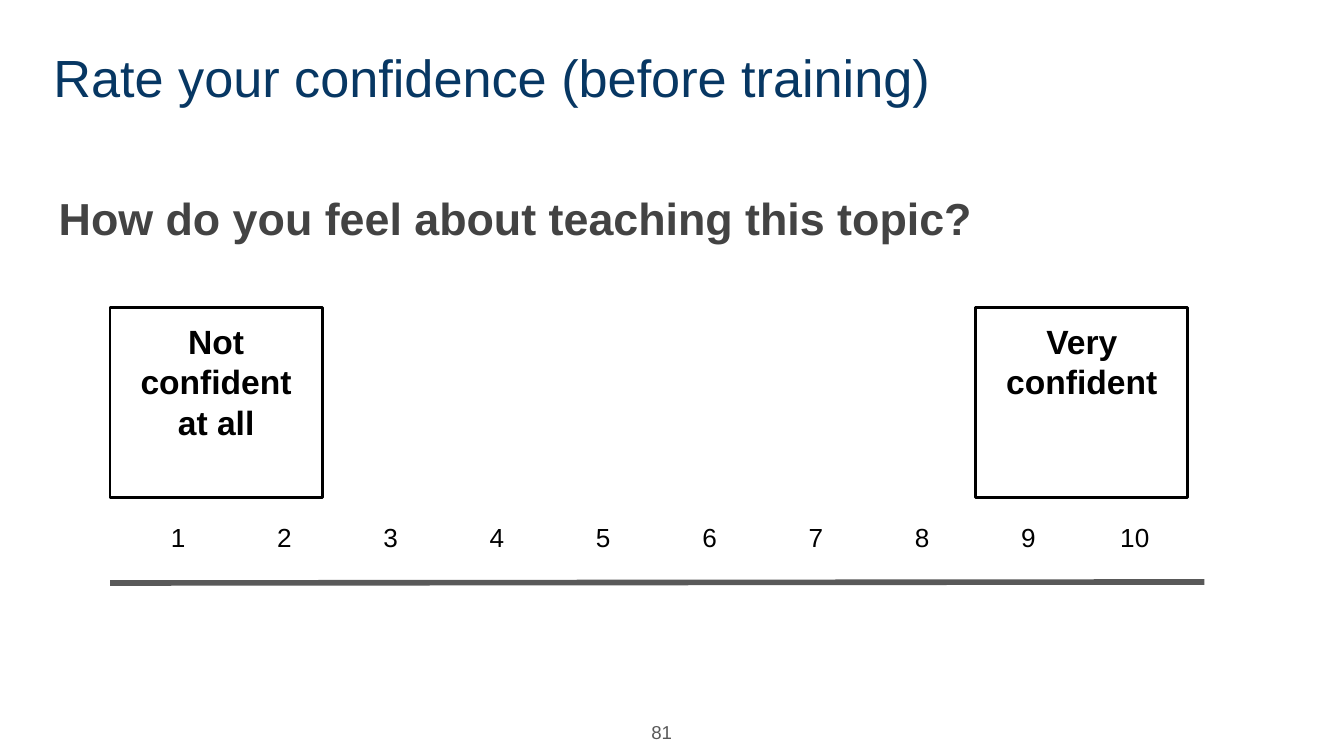
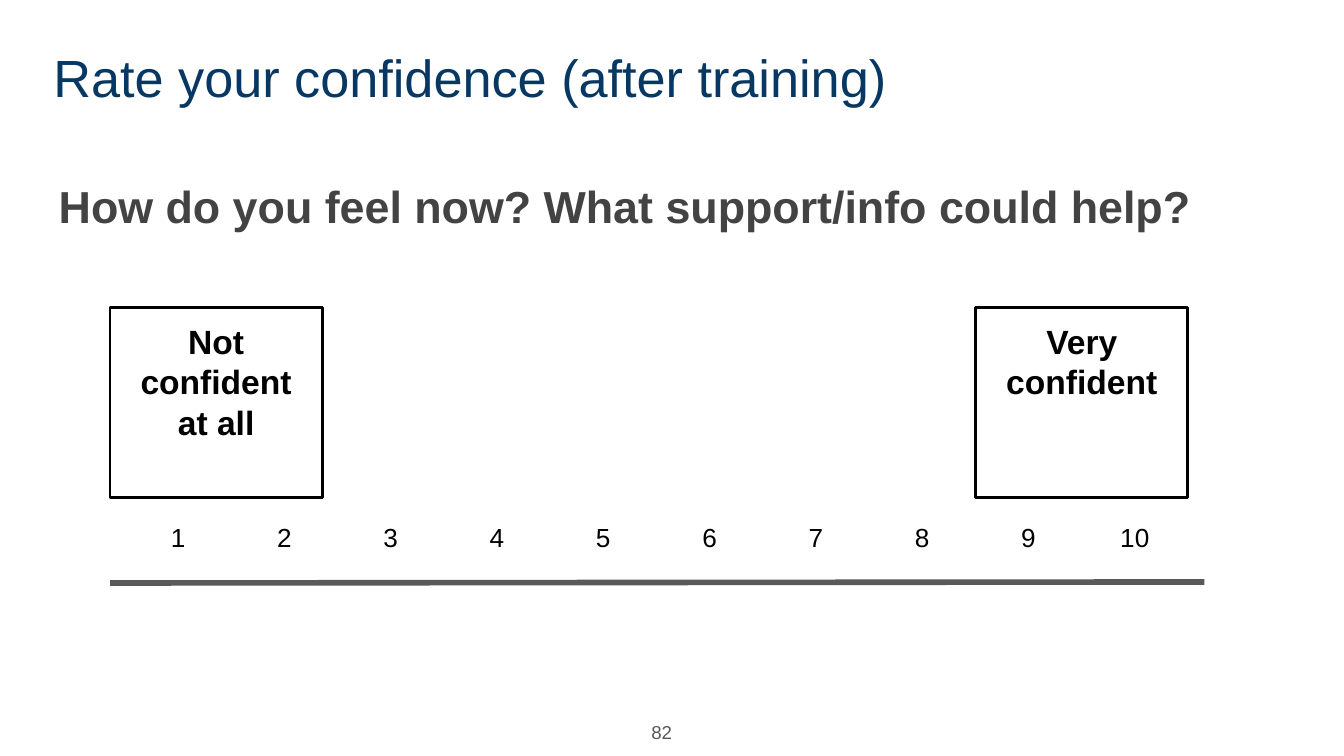
from pptx import Presentation
from pptx.dml.color import RGBColor
from pptx.enum.shapes import MSO_CONNECTOR as Link, MSO_SHAPE as Shape
from pptx.enum.text import MSO_ANCHOR as Anchor, PP_ALIGN as Align
from pptx.oxml.ns import qn
from pptx.util import Cm, Pt
from lxml.etree import SubElement

NAVY = RGBColor(0x07, 0x37, 0x63)
DARK = RGBColor(0x43, 0x43, 0x43)
GREY = RGBColor(0x59, 0x59, 0x59)
BLACK = RGBColor(0, 0, 0)
FONT = "Arial"
INSET = Cm(0.25)
LEFT = 2.08  # left edge of the scale, in cm
ENDS = [(LEFT, "Not confident at all"), (18.44, "Very confident")]
STEPS = 10
SLIDES = [
    ("Rate your confidence (before training)",
     "How do you feel about teaching this topic?", 3.2, 81),
    ("Rate your confidence (after training)",
     "How do you feel now? What support/info could help?", 2.97, 82),
]


def write(frame, text, size, color, bold=False, align=Align.LEFT,
          anchor=Anchor.TOP):
    """Fill a text frame with one paragraph and return it."""
    frame.word_wrap = True
    frame.vertical_anchor = anchor
    frame.margin_left = frame.margin_right = INSET
    frame.margin_top = frame.margin_bottom = INSET
    para = frame.paragraphs[0]
    para.text = text
    para.alignment = align
    font = para.font
    font.name, font.size, font.bold = FONT, Pt(size), bold
    font.color.rgb = color
    return para


def add_title(slide, text):
    title = slide.shapes.title
    title.left, title.top = Cm(0.76), Cm(0.61)
    title.width, title.height = Cm(23.77), Cm(1.6)
    write(title.text_frame, text, 28, NAVY)


def add_query(slide, text, top):
    box = slide.shapes.add_textbox(Cm(0.86), Cm(top), Cm(23.67),
                                   Cm(12.7 - top))
    para = write(box.text_frame, text, 24, DARK, bold=True)
    para.line_spacing = 1.15


def add_end(slide, left, text):
    """Frame the label for one end of the scale."""
    box = slide.shapes.add_shape(Shape.RECTANGLE, Cm(left), Cm(5.82),
                                 Cm(4.01), Cm(3.58))
    box.shadow.inherit = False
    box.fill.background()
    box.line.color.rgb = BLACK
    box.line.width = Pt(1.5)
    write(box.text_frame, text, 18, BLACK, bold=True, align=Align.CENTER)


def add_scale(slide):
    """Number the steps and underline them."""
    table = slide.shapes.add_table(1, STEPS, Cm(2.36), Cm(9.65),
                                   Cm(2.01 * STEPS), Cm(1.07)).table
    table.first_row = table.horz_banding = False
    for step, cell in enumerate(table.iter_cells(), 1):
        cell.fill.background()
        cell.margin_left = cell.margin_right = INSET
        cell.margin_top = cell.margin_bottom = INSET
        para = cell.text_frame.paragraphs[0]
        para.text = str(step)
        para.alignment = Align.CENTER
        para.font.name, para.font.size = FONT, Pt(14)
        para.font.color.rgb = BLACK

    rule = slide.shapes.add_connector(Link.STRAIGHT, Cm(LEFT), Cm(11.02),
                                      Cm(22.76), Cm(11))
    rule.line.color.rgb = GREY
    rule.line.width = Pt(3)
    SubElement(rule._element.spPr, qn("a:effectLst"))


def add_page(slide, number):
    box = slide.shapes.add_textbox(Cm(11.81), Cm(13.36), Cm(1.14), Cm(0.94))
    write(box.text_frame, str(number), 10, GREY, align=Align.RIGHT,
          anchor=Anchor.MIDDLE)


def main():
    deck = Presentation()
    deck.slide_width, deck.slide_height = Cm(25.4), Cm(14.29)
    layout = deck.slide_layouts.get_by_name("Title Only")
    for title, query, top, number in SLIDES:
        slide = deck.slides.add_slide(layout)
        add_title(slide, title)
        add_query(slide, query, top)
        for left, label in ENDS:
            add_end(slide, left, label)
        add_scale(slide)
        add_page(slide, number)
    deck.save("out.pptx")


if __name__ == "__main__":
    main()
